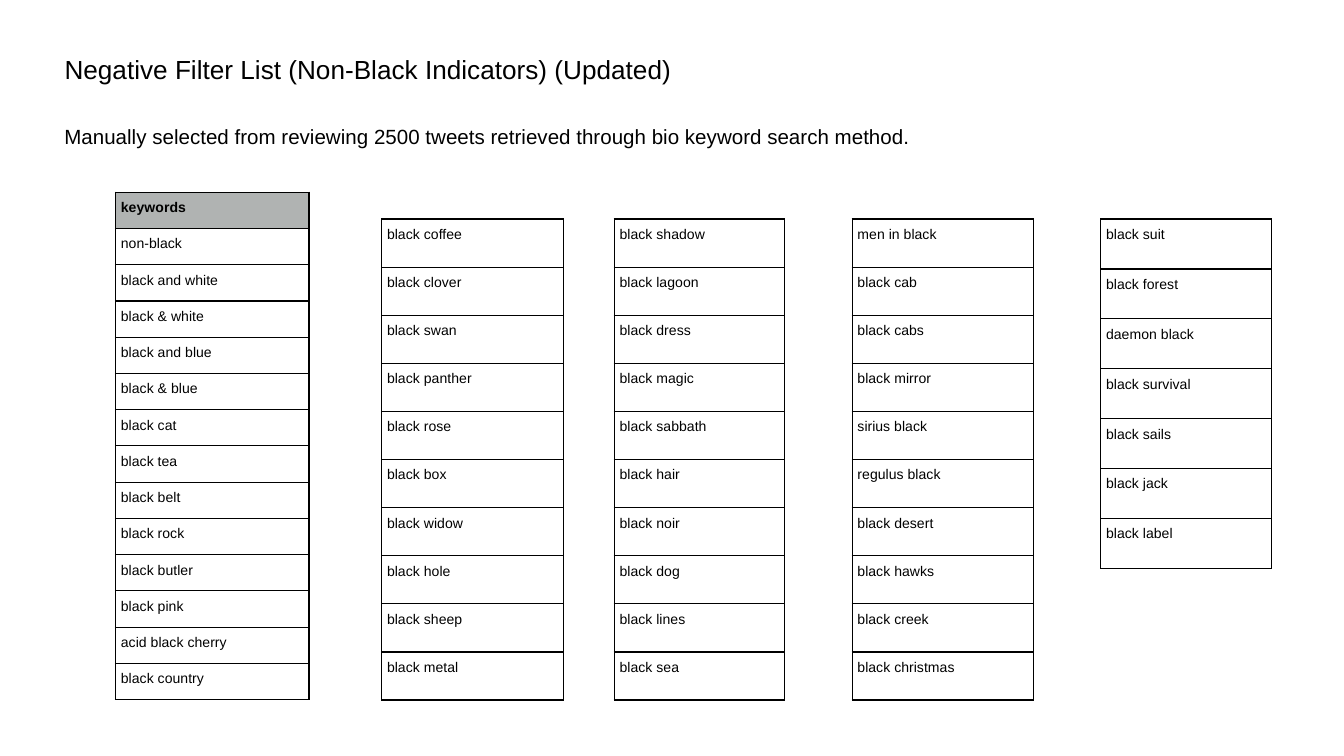
from dataclasses import dataclass

import lxml.etree
import pptx
import pptx.dml.color
import pptx.enum.text
import pptx.oxml.ns
import pptx.presentation
import pptx.slide
import pptx.text.text
import pptx.util

WIDTH = 10  # slide size in inches
HEIGHT = WIDTH * 9 / 16


@dataclass(frozen=True)
class Theme:
    font: str = "Arial"
    ink: str = "000000"
    header_fill: str = "B0B3B2"
    title_size: float = 14
    subtitle_size: float = 11
    cell_size: float = 7.5
    line_spacing: float = 1.15
    border_width: float = 0.75
    text_inset: float = 0.1
    cell_inset: float = 0.04


@dataclass(frozen=True)
class KeywordTable:
    left: float
    width: float
    height: float
    keywords: tuple[str, ...]
    top: float = 1.63
    has_header: bool = False


THEME = Theme()

KEYWORD_TABLES = (
    KeywordTable(0.86, 1.44, 3.78, (
        "keywords", "non-black", "black and white", "black & white",
        "black and blue", "black & blue", "black cat", "black tea",
        "black belt", "black rock", "black butler", "black pink",
        "acid black cherry", "black country"), top=1.43, has_header=True),
    KeywordTable(2.84, 1.35, 3.58, (
        "black coffee", "black clover", "black swan", "black panther",
        "black rose", "black box", "black widow", "black hole",
        "black sheep", "black metal")),
    KeywordTable(4.57, 1.27, 3.58, (
        "black shadow", "black lagoon", "black dress", "black magic",
        "black sabbath", "black hair", "black noir", "black dog",
        "black lines", "black sea")),
    KeywordTable(6.34, 1.35, 3.58, (
        "men in black", "black cab", "black cabs", "black mirror",
        "sirius black", "regulus black", "black desert", "black hawks",
        "black creek", "black christmas")),
    KeywordTable(8.19, 1.27, 2.6, (
        "black suit", "black forest", "daemon black", "black survival",
        "black sails", "black jack", "black label")),
)


def style_text(para: pptx.text.text._Paragraph, size: float, bold: bool = False) -> None:
    para.alignment = pptx.enum.text.PP_ALIGN.LEFT
    for span in para.runs:
        span.font.name = THEME.font
        span.font.size = pptx.util.Pt(size)
        span.font.bold = bold
        span.font.color.rgb = pptx.dml.color.RGBColor.from_string(THEME.ink)


def fill_text_box(box, left: float, top: float, width: float, height: float,
                  text: str, size: float) -> None:
    box.left, box.top, box.width, box.height = map(
        pptx.util.Inches, (left, top, width, height))
    frame = box.text_frame
    frame.text = text
    frame.word_wrap = True
    frame.auto_size = pptx.enum.text.MSO_AUTO_SIZE.SHAPE_TO_FIT_TEXT
    frame.vertical_anchor = pptx.enum.text.MSO_ANCHOR.TOP
    frame.margin_left = frame.margin_right = pptx.util.Inches(THEME.text_inset)
    frame.margin_top = frame.margin_bottom = pptx.util.Inches(THEME.text_inset)
    style_text(frame.paragraphs[0], size)


def add_borders(cell) -> None:
    properties = cell._tc.get_or_add_tcPr()
    qn = pptx.oxml.ns.qn
    for side in ("a:lnL", "a:lnR", "a:lnT", "a:lnB"):
        line = lxml.etree.SubElement(
            properties, qn(side), w=str(pptx.util.Pt(THEME.border_width)))
        fill = lxml.etree.SubElement(line, qn("a:solidFill"))
        lxml.etree.SubElement(fill, qn("a:srgbClr"), val=THEME.ink)


def format_cell(cell, text: str, header: bool) -> None:
    cell.text = text
    cell.margin_left = cell.margin_right = pptx.util.Inches(THEME.cell_inset)
    cell.margin_top = cell.margin_bottom = pptx.util.Inches(THEME.cell_inset)
    para = cell.text_frame.paragraphs[0]
    para.line_spacing = THEME.line_spacing
    style_text(para, THEME.cell_size, bold=header)
    add_borders(cell)
    if header:
        cell.fill.solid()
        cell.fill.fore_color.rgb = pptx.dml.color.RGBColor.from_string(THEME.header_fill)
    else:
        cell.fill.background()


def add_keyword_table(page: pptx.slide.Slide, item: KeywordTable) -> None:
    bounds = map(pptx.util.Inches, (item.left, item.top, item.width, item.height))
    table = page.shapes.add_table(len(item.keywords), 1, *bounds).table
    table.first_row = item.has_header
    table.horz_banding = False
    for index, keyword in enumerate(item.keywords):
        format_cell(table.cell(index, 0), keyword, item.has_header and index == 0)


def build_deck() -> pptx.presentation.Presentation:
    deck = pptx.Presentation()
    deck.slide_width = pptx.util.Inches(WIDTH)
    deck.slide_height = pptx.util.Inches(HEIGHT)
    page = deck.slides.add_slide(deck.slide_layouts.get_by_name("Title Only"))

    # Title
    fill_text_box(page.shapes.title, 0.38, 0.3, 9.57, 0.44,
                  "Negative Filter List (Non-Black Indicators) (Updated)",
                  THEME.title_size)

    # Keyword columns
    for item in KEYWORD_TABLES:
        add_keyword_table(page, item)

    # Explanation under the title
    fill_text_box(page.shapes.add_textbox(0, 0, 0, 0), 0.38, 0.83, 7.82, 0.39,
                  "Manually selected from reviewing 2500 tweets retrieved "
                  "through bio keyword search method.", THEME.subtitle_size)
    return deck


if __name__ == "__main__":
    build_deck().save("out.pptx")
